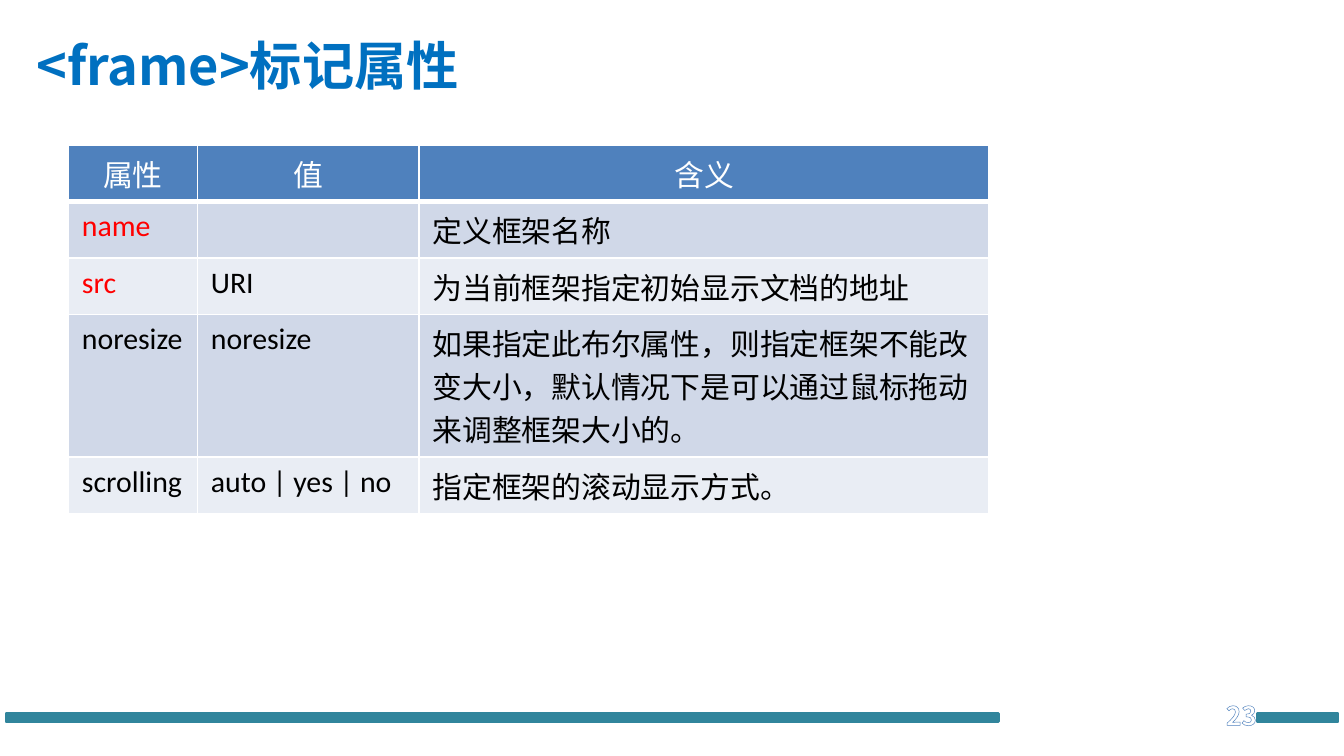
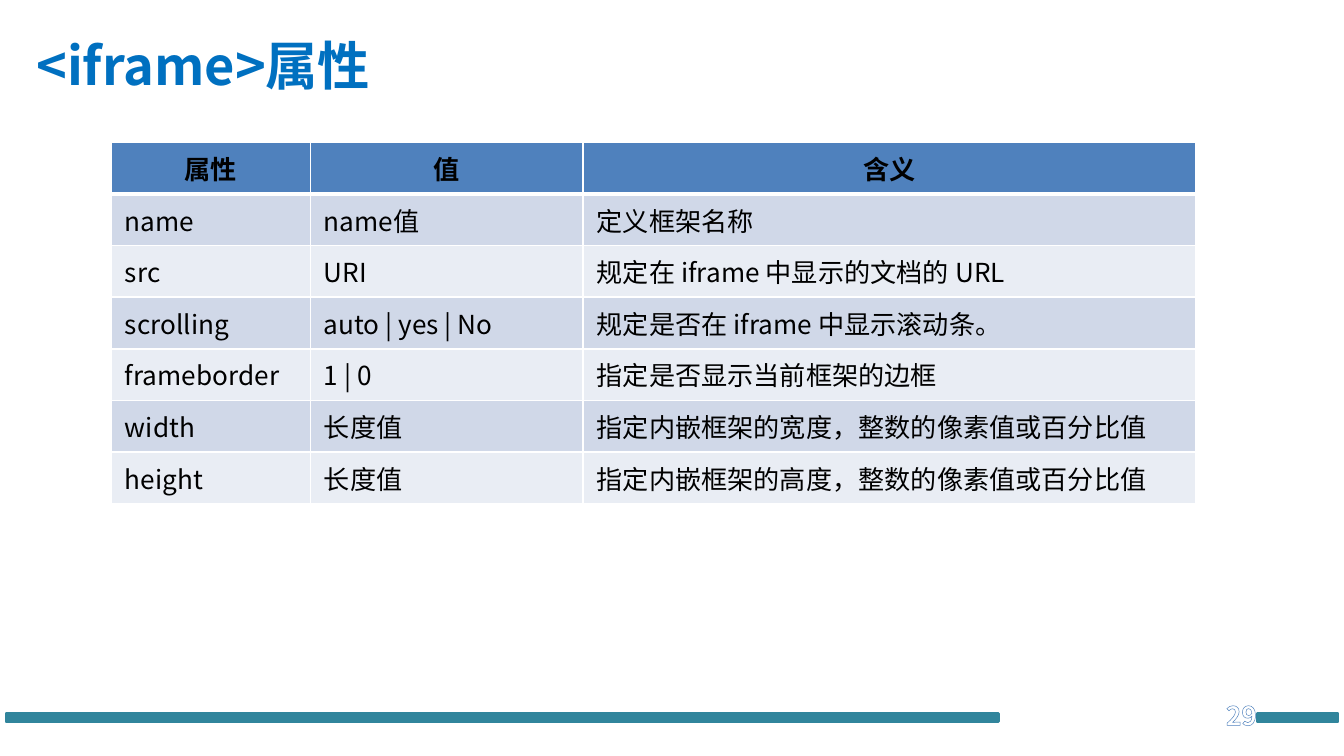
from lxml.etree import SubElement
from pptx import Presentation
from pptx.dml.color import RGBColor
from pptx.enum.shapes import MSO_SHAPE
from pptx.enum.text import MSO_ANCHOR as ANCHOR, PP_ALIGN as ALIGN
from pptx.oxml.ns import qn
from pptx.util import Inches, Pt

CJK = "Noto Sans CJK SC"
BLUE, TEAL, TITLE, WHITE, BLACK, RED = "4F81BD", "31859C", "0070C0", "FFFFFF", "000000", "FF0000"
BANDS = ["E9EDF4", "D0D8E8"]
HEADER = ["属性", "值", "含义"]


def rgb(value):
    return RGBColor.from_string(value)


def add_run(p, text, size, color, bold=False, font=CJK):
    r = p.add_run()
    r.text = text
    r.font.size, r.font.bold, r.font.name = Pt(size), bold, font
    r.font.color.rgb = rgb(color)
    SubElement(r.font._element, qn("a:ea"), typeface=CJK)
    return r


slides = [
    dict(
        title="<frame>标记属性", number="23", left=0.51, top=1.08,
        cols=[0.96, 1.65, 4.24], heights=[0.42, 0.42, 0.42, 1.06, 0.42],
        size=16, font="Calibri", head_color=WHITE, head_bold=False, red=["name", "src"],
        rows=[
            ["name", "", "定义框架名称"],
            ["src", "URI", "为当前框架指定初始显示文档的地址"],
            ["noresize", "noresize",
             "如果指定此布尔属性，则指定框架不能改变大小，默认情况下是可以通过鼠标拖动来调整框架大小的。"],
            ["scrolling", "auto | yes | no", "指定框架的滚动显示方式。"],
        ],
    ),
    dict(
        title="<iframe>属性", number="29", left=0.83, top=1.06,
        cols=[1.48, 2.03, 4.56], heights=[0.38] * 7,
        size=14, font=CJK, head_color=BLACK, head_bold=True, red=[],
        rows=[
            ["name", "name值", "定义框架名称"],
            ["src", "URI", "规定在 iframe 中显示的文档的 URL"],
            ["scrolling", "auto | yes | No", "规定是否在 iframe 中显示滚动条。"],
            ["frameborder", "1 | 0", "指定是否显示当前框架的边框"],
            ["width", "长度值", "指定内嵌框架的宽度，整数的像素值或百分比值"],
            ["height", "长度值", "指定内嵌框架的高度，整数的像素值或百分比值"],
        ],
    ),
]

prs = Presentation()
prs.slide_width, prs.slide_height = Inches(10), Inches(10 * 9 / 16)

for data in slides:
    s = prs.slides.add_slide(prs.slide_layouts[5])

    for left, width in [(0.05, 7.38), (9.36, 0.59)]:
        sp = s.shapes.add_shape(MSO_SHAPE.RECTANGLE, Inches(left), Inches(5.31), Inches(width), Inches(0.06))
        sp.shadow.inherit = False
        sp.fill.solid()
        sp.fill.fore_color.rgb = rgb(TEAL)
        sp.line.color.rgb = rgb(TEAL)
        sp.line.width = Pt(2)

    title = s.shapes.title
    title.left, title.top, title.width, title.height = Inches(0.17), Inches(0.01), Inches(9), Inches(0.94)
    title.text_frame.vertical_anchor = ANCHOR.MIDDLE
    p = title.text_frame.paragraphs[0]
    p.alignment = ALIGN.LEFT
    add_run(p, data["title"], 28, TITLE, True)

    rows = [HEADER] + data["rows"]
    table = s.shapes.add_table(
        len(rows), len(HEADER), Inches(data["left"]), Inches(data["top"]),
        Inches(sum(data["cols"])), Inches(sum(data["heights"]))).table
    for col, width in zip(table.columns, data["cols"]):
        col.width = Inches(width)
    for i, texts in enumerate(rows):
        table.rows[i].height = Inches(data["heights"][i])
        for j, text in enumerate(texts):
            cell = table.cell(i, j)
            tc_pr = cell._tc.get_or_add_tcPr()
            for side in "LRTB":
                thick = (i == 0 and side == "B") or (i == 1 and side == "T")
                ln = SubElement(tc_pr, qn("a:ln" + side), w=str(Pt(3 if thick else 1)))
                SubElement(SubElement(ln, qn("a:solidFill")), qn("a:srgbClr"), val=WHITE)
            cell.fill.solid()
            cell.fill.fore_color.rgb = rgb(BANDS[i % 2] if i else BLUE)
            p = cell.text_frame.paragraphs[0]
            if i == 0:
                p.alignment = ALIGN.CENTER
                add_run(p, text, data["size"], data["head_color"], data["head_bold"], data["font"])
            elif text:
                color = RED if text in data["red"] else BLACK
                add_run(p, text, data["size"], color, font=data["font"])

    tf = s.shapes.add_textbox(Inches(8.59), Inches(5.17), Inches(0.86), Inches(0.3)).text_frame
    tf.word_wrap = True
    tf.vertical_anchor = ANCHOR.MIDDLE
    p = tf.paragraphs[0]
    p.alignment = ALIGN.RIGHT
    r = add_run(p, data["number"], 14, WHITE, True)
    ln = SubElement(r.font._element, qn("a:ln"), w=str(Pt(0.75)))
    SubElement(SubElement(ln, qn("a:solidFill")), qn("a:srgbClr"), val=BLUE)
    r.font._element.insert(0, ln)

prs.save("out.pptx")
